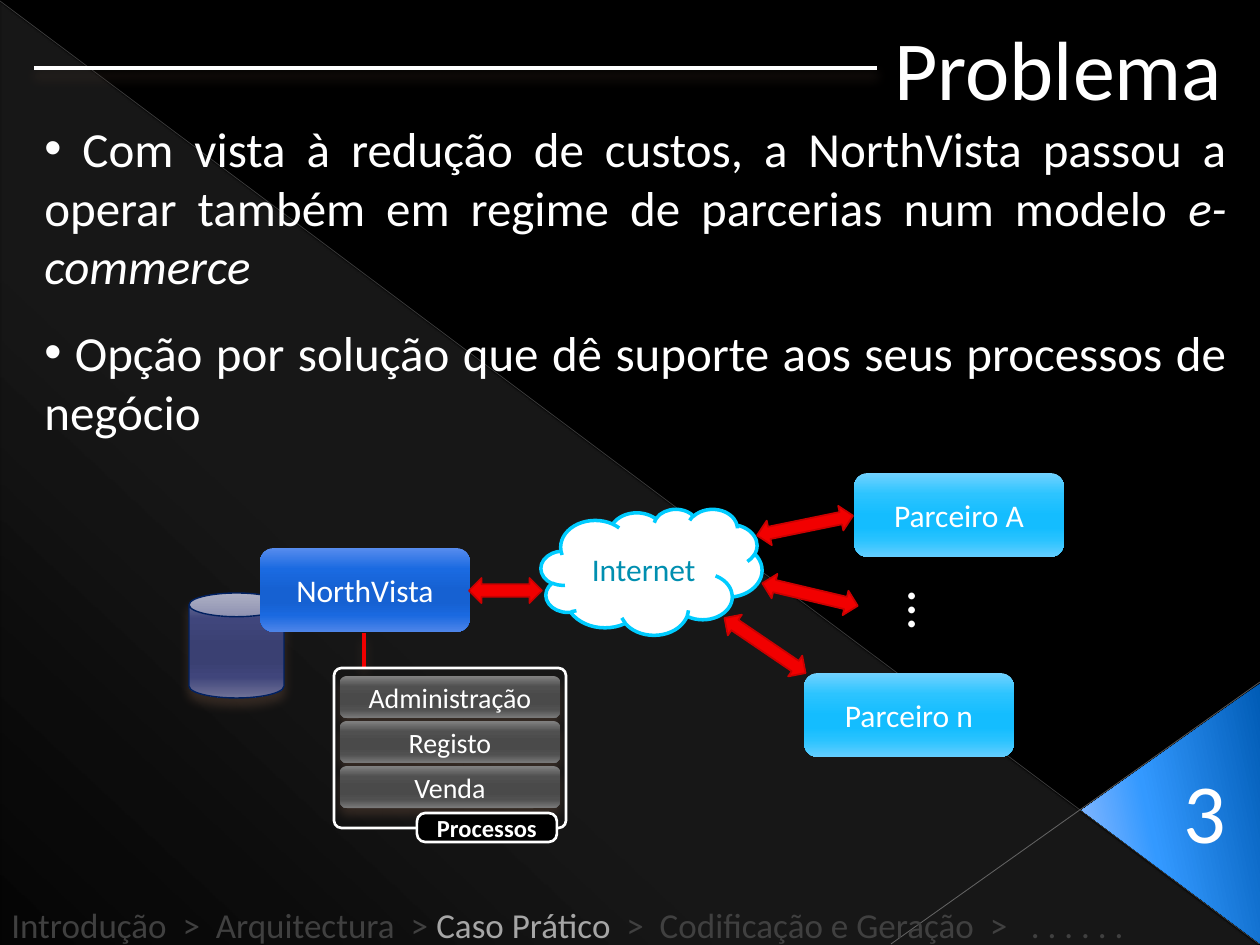
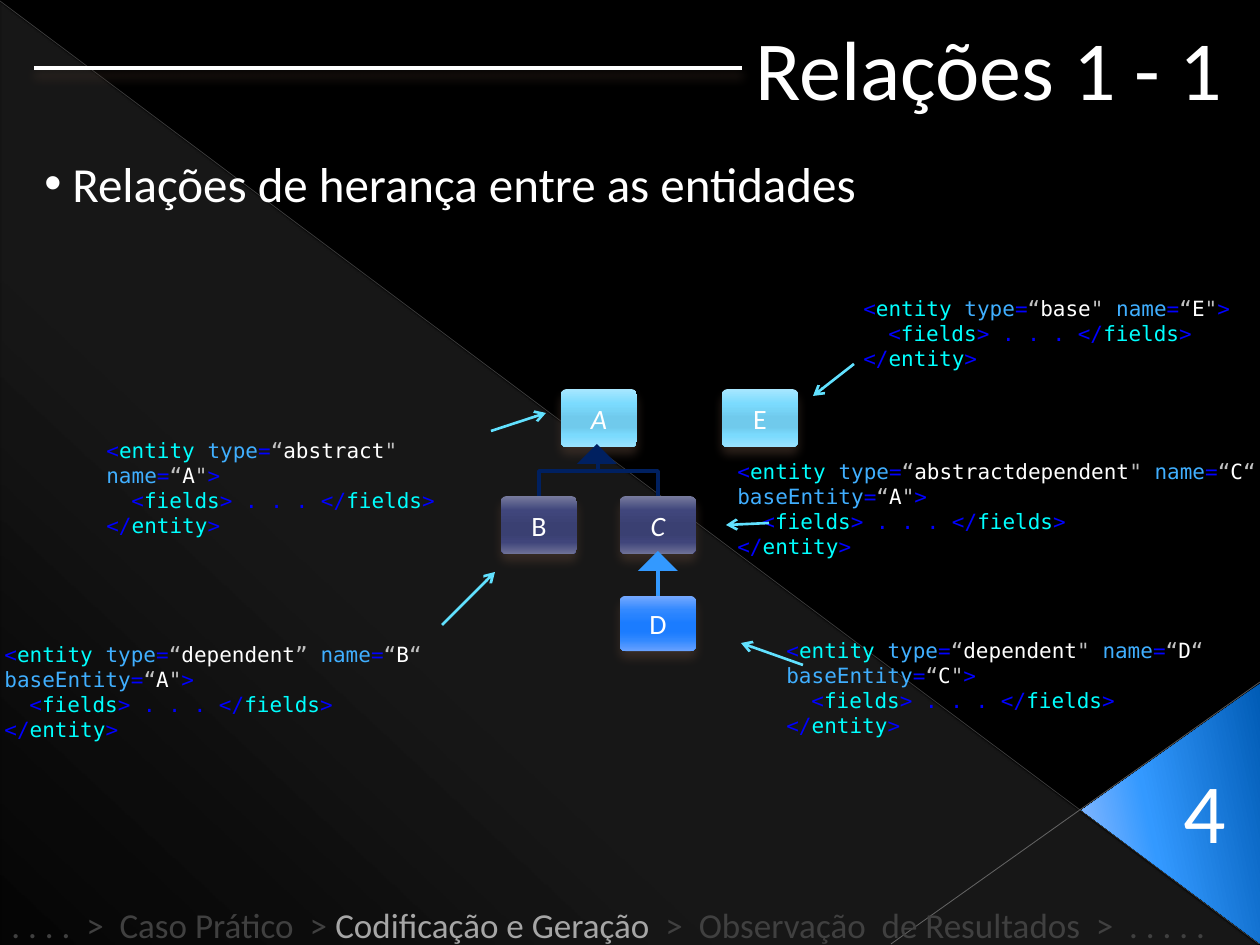
from dataclasses import dataclass

from lxml import etree
from pptx import Presentation, util as u
from pptx.dml.color import RGBColor
from pptx.enum import shapes, text
from pptx.oxml.ns import qn

EMU_PER_PIXEL = u.Inches(1) / 126
KIND = shapes.MSO_SHAPE
ALIGN = text.PP_ALIGN


def px(length):
    return u.Emu(round(length * EMU_PER_PIXEL))


def child(parent, tag, **attributes):
    return etree.SubElement(parent, qn(tag), {key: str(value) for key, value in attributes.items()})


def sheen(*colours):
    return tuple(zip((0, 25, 50, 65, 80, 100), colours))


@dataclass(frozen=True)
class Theme:
    font: str = "Calibri"
    code_font: str = "DejaVu Sans Mono"
    title_size: int = 48
    dots_size: int = 32
    body_size: int = 28
    trail_size: int = 20
    box_size: int = 18
    small_size: int = 16
    label_size: int = 14
    code_size: int = 12
    black: str = "000000"
    white: str = "FFFFFF"
    trail: str = "404040"
    trail_current: str = "A6A6A6"
    shadow: str = "4E3B30"
    red: str = "F20000"
    red_edge: str = "CC0000"
    navy: str = "002060"
    blue: str = "3399FF"
    cyan: str = "00CCFF"
    cloud_text: str = "008FB0"
    pointer: str = "61E1FF"
    diagonal: str = "B4B4B4"
    corner_line: str = "BDBDBD"
    mark: str = "0000FF"
    tag: str = "00FFFF"
    attribute: str = "40AFFF"
    quote: str = "C0C0C0"
    veil: tuple = ((0, "FFFFFF", 10), (70, "FFFFFF", 8), (100, "FFFFFF", 1))
    corner: tuple = ((0, "005BB5"), (60, "3399FF"), (100, "9BBFFF"))
    grey: tuple = sheen("828282", "505050", "4A4A4A", "4A4A4A", "505050", "7A7A7A")
    sky: tuple = sheen("71D2FF", "2CC4FF", "14BDFF", "14BDFF", "2AC3FF", "63CEFF")
    indigo: tuple = sheen("777B9D", "40467C", "3A4072", "3A4072", "40457B", "6F7297")
    royal: tuple = sheen("578CEE", "1A6AE1", "1661D2", "1661D2", "1A69E0", "4E85E9")
    pale: tuple = sheen("A8E7FF", "7BDBFE", "70CAEC", "70CAEC", "7ADAFD", "9BE3FF")
    bright: tuple = sheen("75A9FF", "3389FF", "1B7CFF", "1B7CFF", "3188FF", "67A1FF")


THEME = Theme()


class Deck:
    def __init__(self, theme):
        self.theme = theme
        self.presentation = Presentation()
        self.presentation.slide_width = px(1260)
        self.presentation.slide_height = px(945)
        background = self.presentation.slide_master.background.fill
        background.solid()
        background.fore_color.rgb = RGBColor.from_string(theme.black)
        self.slide = None

    def new_slide(self):
        self.slide = self.presentation.slides.add_slide(self.presentation.slide_layouts[6])
        self.shape(KIND.RIGHT_TRIANGLE, (1, 3, 1257, 942), self.theme.veil, angle=133)
        self.line((0, 1), (1259, 944), self.theme.diagonal, 0.39, alpha=35)
        self.line((1260, 682), (891, 944), self.theme.corner_line, 0.47, alpha=45)
        self.shape(KIND.ISOSCELES_TRIANGLE, (1041, 724, 261, 179), self.theme.corner,
                   angle=258, rotation=270, adjust=0.513)

    def heading(self, title, left, rule_end, number):
        for words, box in ((str(number), (1171, 753, 68, 115)),
                           (title, (left, 10, 1240 - left, 115))):
            self.text(box, [[(words, self.theme.white)]], self.theme.title_size, wrap=False)
        self.line((rule_end, 68), (34, 68), self.theme.white, 2, shadow=True)

    def trail(self, before, current, after):
        runs = [(before, self.theme.trail), (current, self.theme.trail_current),
                (after, self.theme.trail)]
        self.text((-1, 897, 1250, 55), [runs], self.theme.trail_size, align=ALIGN.JUSTIFY)

    def bullet(self, top, height, words, emphasis=""):
        runs = [(" " + words, self.theme.white)]
        if emphasis:
            runs.append((emphasis, self.theme.white, "italic"))
        frame = self.text((32, top, 1207, height), [runs], self.theme.body_size,
                          align=ALIGN.JUSTIFY)
        properties = frame.paragraphs[0]._p.get_or_add_pPr()
        child(properties, "a:buFont", typeface="Arial")
        child(properties, "a:buChar", char="•")

    def text(self, box, paragraphs, size, align=ALIGN.LEFT, font=None, wrap=True, rotation=0):
        shape = self.slide.shapes.add_textbox(*map(px, box))
        shape.rotation = rotation
        frame = shape.text_frame
        frame.word_wrap = wrap
        frame.auto_size = text.MSO_AUTO_SIZE.SHAPE_TO_FIT_TEXT
        self.add_runs(frame, paragraphs, size, align, font)
        return frame

    def add_runs(self, frame, paragraphs, size, align, font=None):
        for index, runs in enumerate(paragraphs):
            paragraph = frame.add_paragraph() if index else frame.paragraphs[0]
            paragraph.alignment = align
            for words, colour, *styles in runs:
                run = paragraph.add_run()
                run.text = words
                run.font.name = font or self.theme.font
                run.font.size = u.Pt(size)
                run.font.color.rgb = RGBColor.from_string(colour)
                if styles:
                    run.font.italic = "italic" in styles
                    run.font.bold = "bold" in styles

    def shape(self, kind, box, fill=None, edge=None, width=1, angle=90, rotation=0,
              adjust=None, shadow=False):
        shape = self.slide.shapes.add_shape(kind, *map(px, box))
        shape.rotation = rotation
        if adjust is not None:
            shape.adjustments[0] = adjust
        self.paint(shape, fill, angle)
        if edge:
            self.stroke(shape.line, edge, width)
        else:
            shape.line.fill.background()
        self.effects(shape, shadow)
        return shape

    def box(self, words, box, fill, size, colour=None, styles=(), kind=KIND.ROUNDED_RECTANGLE,
            inset=None, **look):
        shape = self.shape(kind, box, fill, **look)
        frame = shape.text_frame
        frame.word_wrap = True
        frame.vertical_anchor = text.MSO_ANCHOR.MIDDLE
        if inset is not None:
            frame.margin_left = frame.margin_right = px(inset)
            frame.margin_top = frame.margin_bottom = px(inset)
        self.add_runs(frame, [[(words, colour or self.theme.white, *styles)]], size, ALIGN.CENTER)

    def paint(self, shape, fill, angle):
        if fill is None:
            shape.fill.background()
        elif isinstance(fill, str):
            shape.fill.solid()
            shape.fill.fore_color.rgb = RGBColor.from_string(fill)
        else:
            shape.fill.gradient()
            shape.fill.gradient_angle = 360 - angle
            stops = shape._element.spPr.find(qn("a:gradFill")).find(qn("a:gsLst"))
            stops.clear()
            for position, colour, *alpha in fill:
                stop = child(stops, "a:gs", pos=position * 1000)
                tint = child(stop, "a:srgbClr", val=colour)
                if alpha:
                    child(tint, "a:alpha", val=alpha[0] * 1000)

    def stroke(self, line, colour, width):
        line.color.rgb = RGBColor.from_string(colour)
        line.width = u.Pt(width)

    def effects(self, shape, shadow):
        effects = child(shape._element.spPr, "a:effectLst")
        if shadow:
            outer = child(effects, "a:outerShdw", blurRad=u.Pt(6), dist=u.Pt(4),
                          dir=90 * 60000, rotWithShape=0)
            child(child(outer, "a:srgbClr", val=self.theme.shadow), "a:alpha", val=60000)

    def line(self, start, end, colour, width, alpha=None, arrow=False, shadow=False):
        line = self.slide.shapes.add_connector(
            shapes.MSO_CONNECTOR.STRAIGHT, *map(px, (*start, *end)))
        self.stroke(line.line, colour, width)
        outline = line._element.spPr.find(qn("a:ln"))
        if alpha:
            child(next(outline.iter(qn("a:srgbClr"))), "a:alpha", val=alpha * 1000)
        if arrow:
            child(outline, "a:tailEnd", type="arrow")
        self.effects(line, shadow)

    def elbow(self, points, colour):
        builder = self.slide.shapes.build_freeform(*points[0], scale=EMU_PER_PIXEL)
        builder.add_line_segments(points[1:], close=False)
        shape = builder.convert_to_shape()
        shape.fill.background()
        self.stroke(shape.line, colour, 2)
        self.effects(shape, False)

    def node(self, letter, left, top, fill, height=58, styles=()):
        self.box(letter, (left, top, 76, height), fill, self.theme.small_size, styles=styles,
                 inset=9, adjust=0.1, shadow=True)

    def attribute(self, key, value, closing='"'):
        theme = self.theme
        return [(key, theme.attribute), ("=", theme.mark), ("“", theme.quote),
                (value, theme.white), (closing, theme.quote)]

    def entity(self, box, kind, name, base=None, kind_end='" ', name_end='"', split=False):
        mark, tag = self.theme.mark, self.theme.tag
        opening = [("<", mark), ("entity ", tag), *self.attribute("type", kind, kind_end),
                   *self.attribute("name", name, name_end)]
        paragraphs = [opening]
        if base:
            if split:
                paragraphs.append([])
            paragraphs[-1].extend(self.attribute("baseEntity", base))
        paragraphs[-1].append((">", mark))
        paragraphs.append([("<", mark), ("fields", tag), ("> . . . </", mark),
                           ("fields", tag), (">", mark)])
        paragraphs.append([("</", mark), ("entity", tag), (">", mark)])
        frame = self.text(box, paragraphs, self.theme.code_size, font=self.theme.code_font)
        frame.paragraphs[-2]._p.get_or_add_pPr().set("marL", str(px(25)))


def problem_slide(deck):
    theme = deck.theme
    deck.new_slide()
    deck.line((364, 633), (364, 668), theme.red, 2, shadow=True)
    for row, process in enumerate(("Administração", "Registo", "Venda")):
        deck.box(process, (340, 676 + 45 * row, 220, 42), theme.grey, theme.small_size,
                 shadow=True)
    deck.shape(KIND.ROUNDED_RECTANGLE, (334, 668, 232, 160), edge=theme.white, width=1.5,
               adjust=0.047)
    deck.box("Processos", (417, 813, 140, 29), theme.black, theme.label_size, styles=["bold"],
             edge=theme.white, width=1.5, adjust=0.285)
    deck.bullet(112, 190, "Com vista à redução de custos, a NorthVista passou a operar também "
                "em regime de parcerias num modelo ", "e-commerce")
    deck.heading("Problema", 882, 877, 3)
    deck.shape(KIND.CAN, (189, 593, 95, 105), theme.indigo, edge=theme.navy, width=0.79,
               shadow=True)
    deck.box("Internet", (541, 509, 221, 126), theme.white, theme.box_size, theme.cloud_text,
             kind=KIND.CLOUD, edge=theme.cyan, width=2)
    for party, left, top, fill in (("Parceiro A", 854, 473, theme.sky),
                                   ("Parceiro n", 804, 673, theme.sky),
                                   ("NorthVista", 260, 548, theme.royal)):
        deck.box(party, (left, top, 210, 84), fill, theme.box_size)
    for left, top, width, rotation in ((469, 578, 73, 180), (716, 633, 98, 214.2),
                                       (756, 513, 98, 168.4), (761, 582, 98, 193.3)):
        deck.shape(KIND.LEFT_RIGHT_ARROW, (left, top, width, 25), theme.red,
                   edge=theme.red_edge, rotation=rotation)
    deck.text((835, 570, 116, 81), [[("...", theme.white)]], theme.dots_size,
              align=ALIGN.CENTER, rotation=270)
    deck.bullet(316, 131, "Opção por solução que dê suporte aos seus processos de negócio")
    deck.trail("Introdução  >  Arquitectura  >", " Caso Prático ",
               " >  Codificação e Geração  >   . . . . . .")


def relations_slide(deck):
    theme = deck.theme
    deck.new_slide()
    deck.heading("Relações 1 - 1", 743, 742, 4)
    deck.bullet(147, 72, "Relações de herança entre as entidades")
    for centre in (539, 658):
        deck.elbow([(598, 447), (598, 471), (centre, 471), (centre, 496)], theme.navy)
    deck.line((658, 554), (658, 596), theme.blue, 2)
    deck.node("A", 561, 389, theme.pale, styles=["italic"])
    deck.node("B", 501, 496, theme.indigo)
    deck.node("C", 620, 496, theme.indigo, styles=["italic"])
    deck.node("D", 620, 596, theme.bright, height=55)
    deck.node("E", 722, 389, theme.pale)
    for left, top, colour in ((577, 444, theme.navy), (638, 551, theme.blue)):
        deck.shape(KIND.ISOSCELES_TRIANGLE, (left, top, 40, 20), colour)
    deck.entity((94, 431, 420, 89), "abstract", "A")
    deck.entity((-8, 635, 609, 89), "dependent", "B", "A", kind_end="” ", name_end="“ ")
    deck.entity((725, 452, 599, 115), "abstractdependent", "C", "A", name_end="“ ")
    deck.entity((774, 631, 599, 115), "dependent", "D", "C", name_end="“ ", split=True)
    deck.entity((851, 289, 431, 89), "base", "E")
    for start, end in (((491, 431), (546, 413)), ((442, 625), (495, 572)),
                       ((854, 364), (813, 396)), ((769, 523), (726, 525)),
                       ((803, 665), (741, 643))):
        deck.line(start, end, theme.pointer, 1.5, arrow=True)
    deck.trail(". . . .  >  Caso Prático  > ", "Codificação e Geração",
               "  >  Observação  de Resultados  >  . . . . .")


deck = Deck(THEME)
problem_slide(deck)
relations_slide(deck)
deck.presentation.save("out.pptx")
